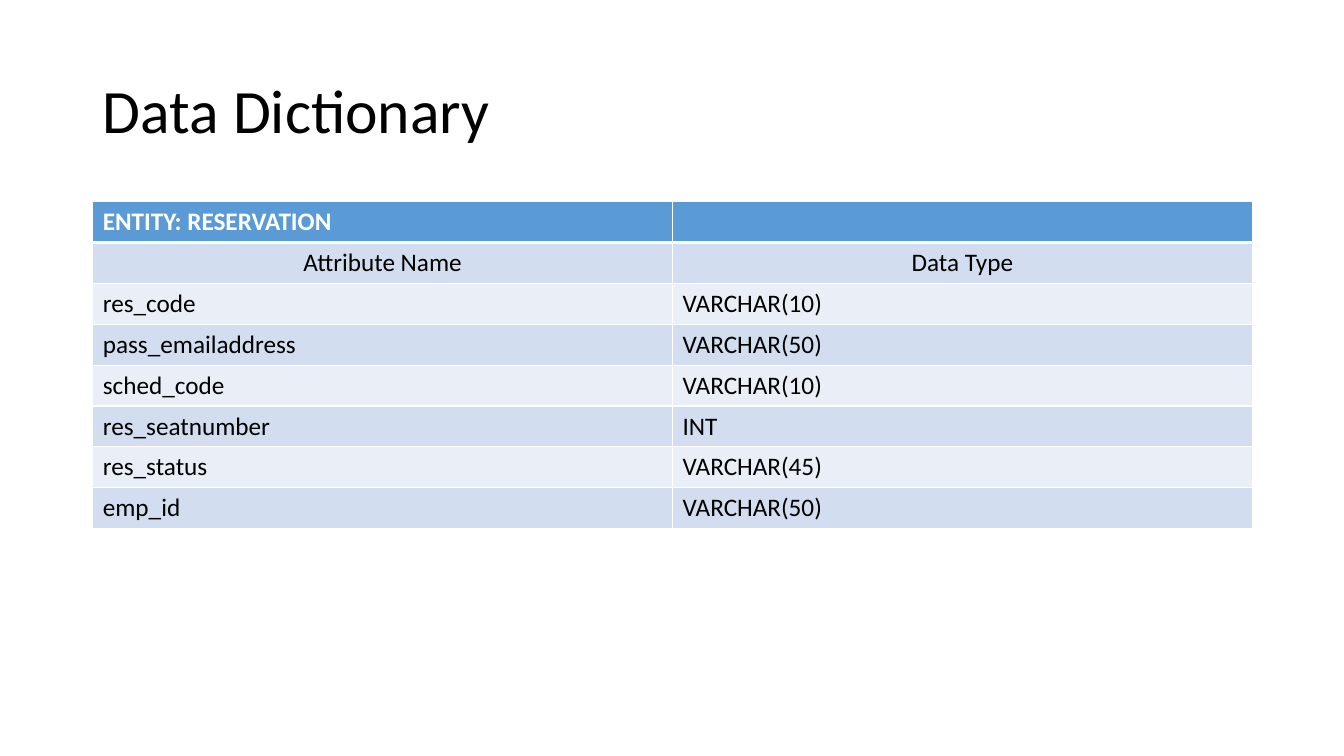
"""Build the data dictionary slide for the RESERVATION entity."""
from dataclasses import dataclass

import lxml.etree
import pptx
import pptx.dml.color
import pptx.enum.text
import pptx.oxml.ns
import pptx.slide
import pptx.table
import pptx.util

ALIGN = pptx.enum.text.PP_ALIGN


@dataclass(frozen=True)
class Theme:
    font: str = "Calibri"
    title_size: int = 44
    cell_size: int = 18
    ink: str = "000000"
    paper: str = "FFFFFF"
    header: str = "5B9BD5"
    bands: tuple[str, str] = ("D2DEEF", "EAEFF7")
    rule: int = 1
    header_rule: int = 3


@dataclass(frozen=True)
class Grid:
    width: float = 13.33
    height: float = 7.5
    margin: float = 0.92
    content: float = 11.5
    title_top: float = 0.4
    title_height: float = 1.45
    table_top: float = 2
    table_height: float = 3.24


@dataclass(frozen=True)
class Row:
    name: str
    kind: str = ""
    align: ALIGN = ALIGN.LEFT


THEME = Theme()
GRID = Grid()
ROWS = [
    Row("ENTITY: RESERVATION"),
    Row("Attribute Name", "Data Type", ALIGN.CENTER),
    Row("res_code", "VARCHAR(10)"),
    Row("pass_emailaddress", "VARCHAR(50)"),
    Row("sched_code", "VARCHAR(10)"),
    Row("res_seatnumber", "INT"),
    Row("res_status", "VARCHAR(45)"),
    Row("emp_id", "VARCHAR(50)"),
]


def rgb(value: str) -> pptx.dml.color.RGBColor:
    """Turn a hex string into a colour."""
    return pptx.dml.color.RGBColor.from_string(value)


def set_font(p, size: int, color: str, bold: bool = False) -> None:
    """Set the font of a whole paragraph."""
    p.font.name = THEME.font
    p.font.size = pptx.util.Pt(size)
    p.font.color.rgb = rgb(color)
    p.font.bold = bold


def add_border(cell: pptx.table._Cell, side: str, width: int) -> None:
    """Draw one side of a cell in the paper colour."""
    qn = pptx.oxml.ns.qn
    tc_pr = cell._tc.get_or_add_tcPr()
    ln = lxml.etree.SubElement(tc_pr, qn(f"a:ln{side}"), w=str(pptx.util.Pt(width)))
    fill = lxml.etree.SubElement(ln, qn("a:solidFill"))
    lxml.etree.SubElement(fill, qn("a:srgbClr"), val=THEME.paper)


def fill_cell(cell: pptx.table._Cell, text: str, i: int, align: ALIGN) -> None:
    """Write and format a cell of row i."""
    is_header = i == 0
    heavy = {0: "B", 1: "T"}.get(i)
    for side in "LRTB":
        add_border(cell, side, THEME.header_rule if side == heavy else THEME.rule)
    cell.fill.solid()
    cell.fill.fore_color.rgb = rgb(THEME.header if is_header else THEME.bands[(i - 1) % 2])
    cell.text = text
    p = cell.text_frame.paragraphs[0]
    p.alignment = align
    set_font(p, THEME.cell_size, THEME.paper if is_header else THEME.ink, is_header)


def add_title(slide: pptx.slide.Slide, text: str) -> None:
    """Place the slide title."""
    inches = pptx.util.Inches
    sp = slide.shapes.title
    sp.left, sp.top = inches(GRID.margin), inches(GRID.title_top)
    sp.width, sp.height = inches(GRID.content), inches(GRID.title_height)
    tf = sp.text_frame
    tf.text = text
    tf.vertical_anchor = pptx.enum.text.MSO_ANCHOR.MIDDLE
    p = tf.paragraphs[0]
    p.alignment = ALIGN.LEFT
    p.line_spacing = 0.9
    set_font(p, THEME.title_size, THEME.ink)


def add_dictionary(slide: pptx.slide.Slide, rows: list[Row]) -> None:
    """Add the attribute table."""
    inches = pptx.util.Inches
    table = slide.shapes.add_table(
        len(rows), 2, inches(GRID.margin), inches(GRID.table_top),
        inches(GRID.content), inches(GRID.table_height)).table
    for i, row in enumerate(rows):
        for j, text in enumerate((row.name, row.kind)):
            fill_cell(table.cell(i, j), text, i, row.align)


def main() -> None:
    """Build and save the presentation."""
    prs = pptx.Presentation()
    prs.slide_width = pptx.util.Inches(GRID.width)
    prs.slide_height = pptx.util.Inches(GRID.height)
    slide = prs.slides.add_slide(prs.slide_layouts.get_by_name("Title Only"))
    add_title(slide, "Data Dictionary")
    add_dictionary(slide, ROWS)
    prs.save("out.pptx")


if __name__ == "__main__":
    main()
